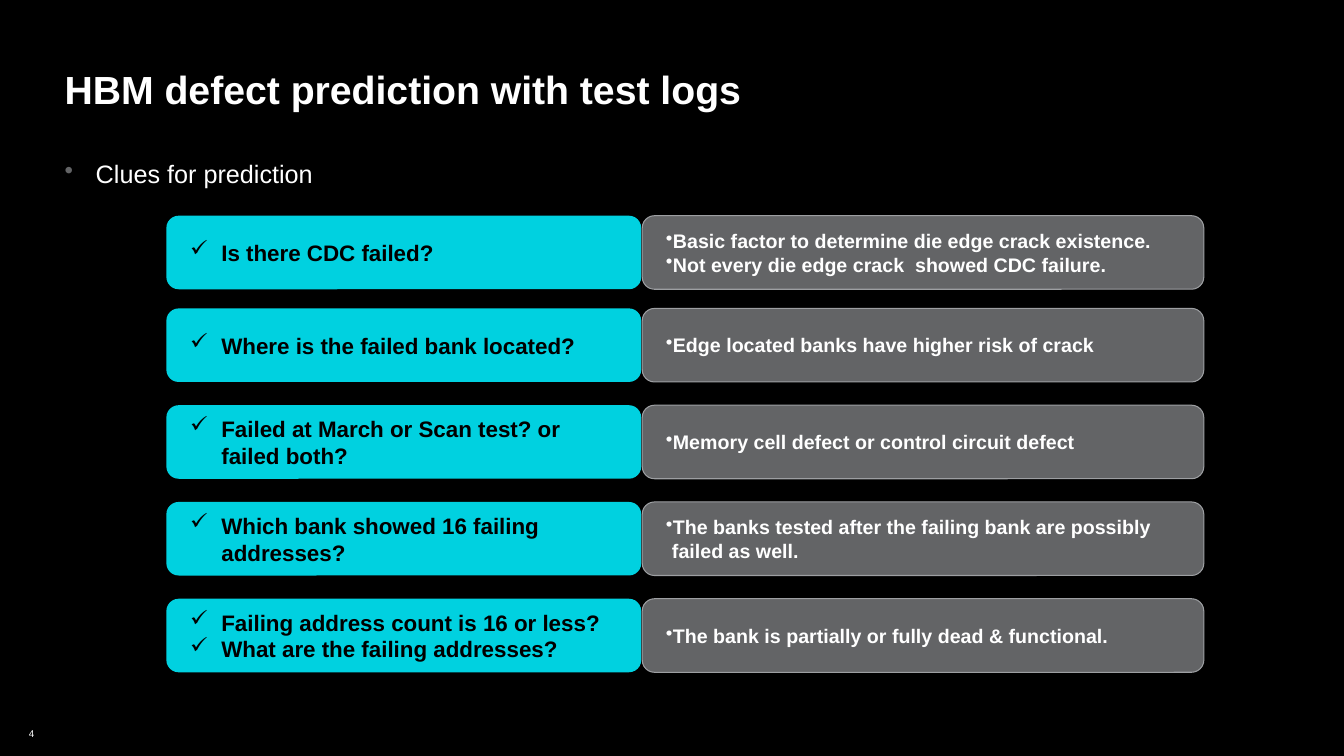
from lxml import etree
from pptx import Presentation
from pptx.dml.color import RGBColor
from pptx.enum.shapes import MSO_SHAPE
from pptx.enum.text import MSO_ANCHOR, PP_ALIGN
from pptx.oxml.ns import qn
from pptx.util import Inches, Pt

ROUND = MSO_SHAPE.ROUNDED_RECTANGLE
TOP, MIDDLE = MSO_ANCHOR.TOP, MSO_ANCHOR.MIDDLE
LEFT, RIGHT = PP_ALIGN.LEFT, PP_ALIGN.RIGHT

COLORS = {"black": "000000", "white": "FFFFFF", "cyan": "00D1E0",
          "gray": "636466", "edge": "9D9FA2"}
TITLE = "HBM defect prediction with test logs"
LEAD = "Clues for prediction"
PAGE = "4"
CLUES = [
    (2.14, ["Is there CDC failed?"],
     ["Basic factor to determine die edge crack existence.",
      "Not every die edge crack  showed CDC failure."]),
    (3.06, ["Where is the failed bank located?"],
     ["Edge located banks have higher risk of crack"]),
    (4.02, ["Failed at March or Scan test? or failed both?"],
     ["Memory cell defect or control circuit defect"]),
    (4.98, ["Which bank showed 16 failing addresses?"],
     ["The banks tested after the failing bank are possibly failed as well."]),
    (5.94, ["Failing address count is 16 or less?",
            "What are the failing addresses?"],
     ["The bank is partially or fully dead & functional."]),
]
ASK_X, ASK_W = 1.65, 4.71
NOTE_X, NOTE_W = 6.37, 5.57
ROW_H = 0.73


def color(name):
    return RGBColor.from_string(COLORS[name])


def add_mark(para, mark, indent, tint):
    props = para._p.get_or_add_pPr()
    props.set("marL", str(Inches(indent)))
    props.set("indent", str(-Inches(indent)))
    if tint:
        holder = etree.SubElement(props, qn("a:buClr"))
        etree.SubElement(holder, qn("a:srgbClr")).set("val", COLORS[tint])
    etree.SubElement(props, qn("a:buChar")).set("char", mark)


def write(shape, lines, size, ink, bold=False, mark=None, indent=0, tint=None,
          pad=(0, 0), anchor=TOP, align=LEFT, wrap=True):
    frame = shape.text_frame
    frame.word_wrap = wrap
    frame.vertical_anchor = anchor
    frame.margin_left = frame.margin_right = Inches(pad[0])
    frame.margin_top = frame.margin_bottom = Inches(pad[1])
    frame.text = "\n".join(lines)
    for para in frame.paragraphs:
        para.alignment = align
        if mark:
            add_mark(para, mark, indent, tint)
        for run in para.runs:
            run.font.name = "Arial"
            run.font.size = Pt(size)
            run.font.bold = bold
            run.font.color.rgb = color(ink)


def add_text(slide, box, lines, size, **style):
    shape = slide.shapes.add_textbox(*map(Inches, box))
    write(shape, lines, size, "white", **style)


def add_card(slide, x, y, width, fill, edge, lines, size, ink, mark, indent):
    card = slide.shapes.add_shape(ROUND, *map(Inches, (x, y, width, ROW_H)))
    card.shadow.inherit = False
    card.fill.solid()
    card.fill.fore_color.rgb = color(fill)
    if edge:
        card.line.color.rgb = color(edge)
        card.line.width = Pt(0.75)
    else:
        card.line.fill.background()
    write(card, lines, size, ink, bold=True, mark=mark, indent=indent,
          pad=(0.2, 0.16), anchor=MIDDLE)


def main():
    """Build the slide of clues for defect prediction."""
    deck = Presentation()
    deck.slide_width, deck.slide_height = Inches(13.33), Inches(7.5)
    slide = deck.slides.add_slide(deck.slide_layouts[6])
    slide.background.fill.solid()
    slide.background.fill.fore_color.rgb = color("black")
    add_text(slide, (0.21, 7.17, 0.13, 0.21), [PAGE], 7, pad=(0, 0.04),
             anchor=MIDDLE, align=RIGHT, wrap=False)
    add_text(slide, (0.64, 0.65, 12.05, 0.47), [TITLE], 28, bold=True)
    add_text(slide, (0.64, 1.57, 9.6, 0.4), [LEAD], 18, mark="•",
             indent=0.31, tint="gray")
    for y, asks, notes in CLUES:
        add_card(slide, NOTE_X, y, NOTE_W, "gray", "edge", notes, 14,
                 "white", "•", 0.06)
        add_card(slide, ASK_X, y, ASK_W, "cyan", None, asks, 16,
                 "black", "✓", 0.31)
    deck.save("out.pptx")


if __name__ == "__main__":
    main()
